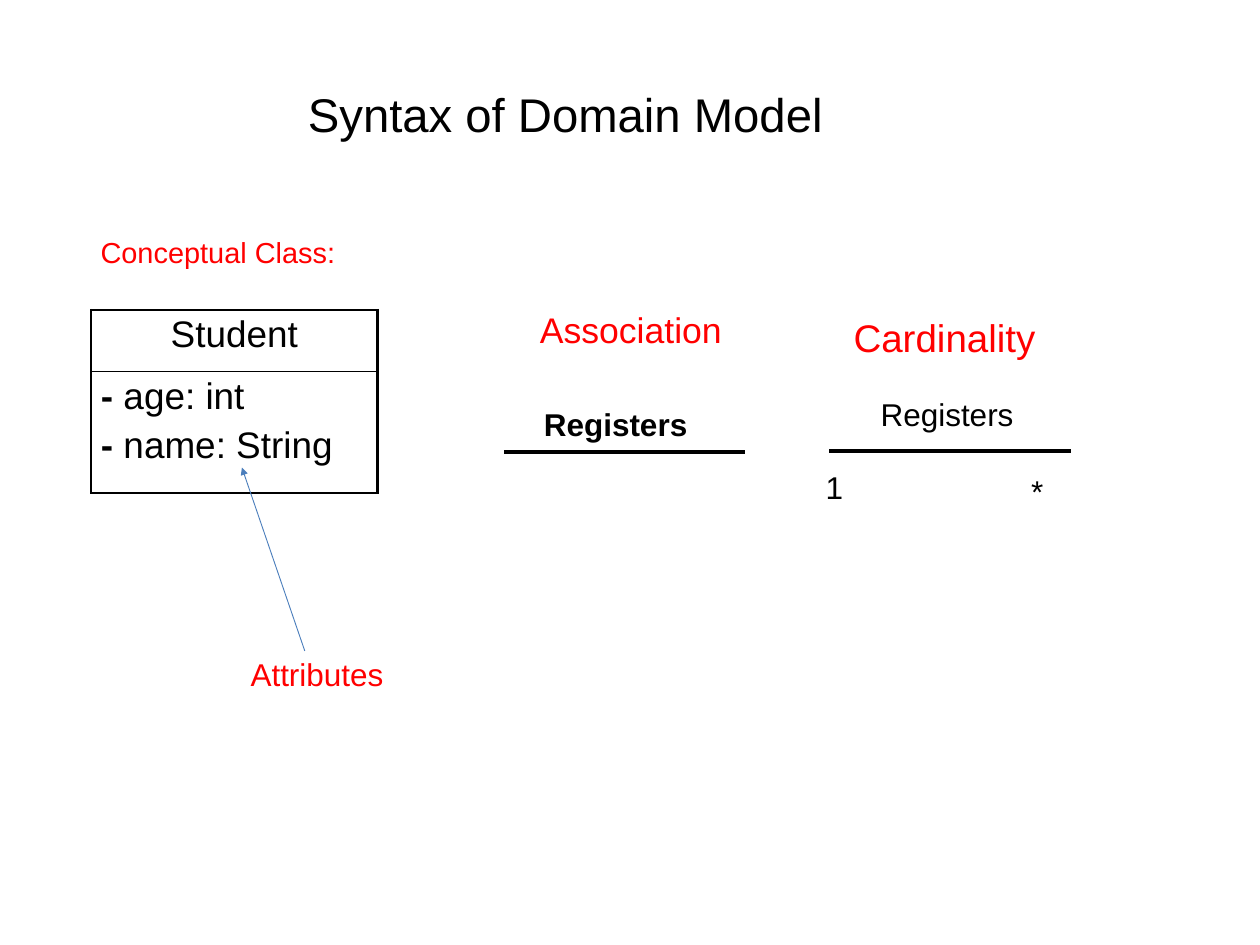
from lxml import etree
from pptx import Presentation
from pptx.dml.color import RGBColor
from pptx.enum.shapes import MSO_CONNECTOR
from pptx.enum.text import MSO_ANCHOR, PP_ALIGN
from pptx.oxml.ns import qn
from pptx.util import Pt

EMU_PER_PX = 9144  # 100 px to the inch
STRAIGHT = MSO_CONNECTOR.STRAIGHT
LEFT, CENTER = PP_ALIGN.LEFT, PP_ALIGN.CENTER
TOP, MIDDLE = MSO_ANCHOR.TOP, MSO_ANCHOR.MIDDLE
BLACK, RED, BLUE = "000000", "FF0000", "4B7EBC"


def px(length):
    return length * EMU_PER_PX


def color(hex_code):
    return RGBColor.from_string(hex_code)


class ModelSlide:
    font_name = "Arial"

    def __init__(self, slide):
        self.slide = slide

    def format_run(self, run, size, hex_code, bold=False):
        run.font.name = self.font_name
        run.font.size = Pt(size)
        run.font.color.rgb = color(hex_code)
        run.font.bold = bold

    def label(self, text, box, size, hex_code=BLACK, bold=False, align=LEFT,
              anchor=TOP, inset=(10, 5), indent=None):
        """Add one line of text; indent is (left margin, first line) in px."""
        frame = self.slide.shapes.add_textbox(*map(px, box)).text_frame
        frame.word_wrap = True
        frame.vertical_anchor = anchor
        frame.margin_left = frame.margin_right = px(inset[0])
        frame.margin_top = frame.margin_bottom = px(inset[1])
        paragraph = frame.paragraphs[0]
        paragraph.text = text
        paragraph.alignment = align
        if indent:
            properties = paragraph._p.get_or_add_pPr()
            properties.set("marL", str(px(indent[0])))
            properties.set("indent", str(px(indent[1])))
        self.format_run(paragraph.runs[0], size, hex_code, bold)

    def heading(self, text, box, size):
        self.label(text, box, size, RED, align=CENTER, inset=(14, 7), indent=(38, -25))

    def line(self, start, end, width, hex_code=BLACK, arrow=False):
        connector = self.slide.shapes.add_connector(STRAIGHT, *map(px, start + end))
        connector.line.width = Pt(width)
        connector.line.color.rgb = color(hex_code)
        if arrow:
            etree.SubElement(connector.line._get_or_add_ln(), qn("a:tailEnd"), type="triangle")
        etree.SubElement(connector._element.spPr, qn("a:effectLst"))

    def border(self, cell, **widths):
        """Draw black cell sides, given in the order L, R, T, B in points."""
        properties = cell._tc.get_or_add_tcPr()
        for side, width in widths.items():
            edge = etree.SubElement(properties, qn(f"a:ln{side}"), w=str(Pt(width)))
            fill = etree.SubElement(edge, qn("a:solidFill"))
            etree.SubElement(fill, qn("a:srgbClr"), val=BLACK)

    def class_box(self, name, attributes, box, row_heights, size):
        table = self.slide.shapes.add_table(2, 1, *map(px, box)).table
        table.first_row = table.horz_banding = False
        thick, thin = 2.25, 1
        name_cell, attribute_cell = table.cell(0, 0), table.cell(1, 0)
        self.border(name_cell, L=thick, R=thick, T=thick, B=thin)
        self.border(attribute_cell, L=thick, R=thick, T=thin, B=thick)
        for row, height, cell in zip(table.rows, row_heights, (name_cell, attribute_cell)):
            row.height = px(height)
            cell.fill.background()
            cell.margin_left = cell.margin_right = px(11)
            cell.margin_top = cell.margin_bottom = px(5)

        title = name_cell.text_frame.paragraphs[0]
        title.text = name
        title.alignment = CENTER
        self.format_run(title.runs[0], size, BLACK)

        frame = attribute_cell.text_frame
        for index, attribute in enumerate(attributes):
            paragraph = frame.add_paragraph() if index else frame.paragraphs[0]
            if index:
                paragraph.space_before = Pt(size * 0.2)
            for text, bold in (("-", True), (f" {attribute}", False)):
                run = paragraph.add_run()
                run.text = text
                self.format_run(run, size, BLACK, bold)


def main():
    presentation = Presentation()
    presentation.slide_width, presentation.slide_height = px(1422), px(1067)
    model = ModelSlide(presentation.slides.add_slide(presentation.slide_layouts[6]))

    model.label("Syntax of Domain Model", (42, 45, 1192, 167), 38.4,
                align=CENTER, anchor=MIDDLE)
    model.label("Conceptual Class:", (24, 260, 444, 89), 23.5, RED, align=CENTER)
    model.class_box("Student", ("age: int", "name: String"),
                    (103, 350, 323, 207), (70, 137), 30)

    model.line((569, 510), (841, 510), 3.25)
    model.heading("Association", (581, 341, 249, 89), 28.9)
    model.label("Registers", (604, 452, 237, 53), 25.6, bold=True)

    model.line((936, 509), (1209, 509), 3.25)
    model.label("Registers", (984, 441, 178, 53), 25.6)
    model.heading("Cardinality", (929, 347, 261, 89), 31.3)
    model.label("1", (922, 524, 80, 53), 25.6)
    model.label("*", (1154, 528, 80, 53), 25.6)

    model.line((344, 735), (273, 528), 0.75, BLUE, arrow=True)
    model.label("Attributes", (273, 735, 237, 53), 25.6, RED)
    presentation.save("out.pptx")


if __name__ == "__main__":
    main()
